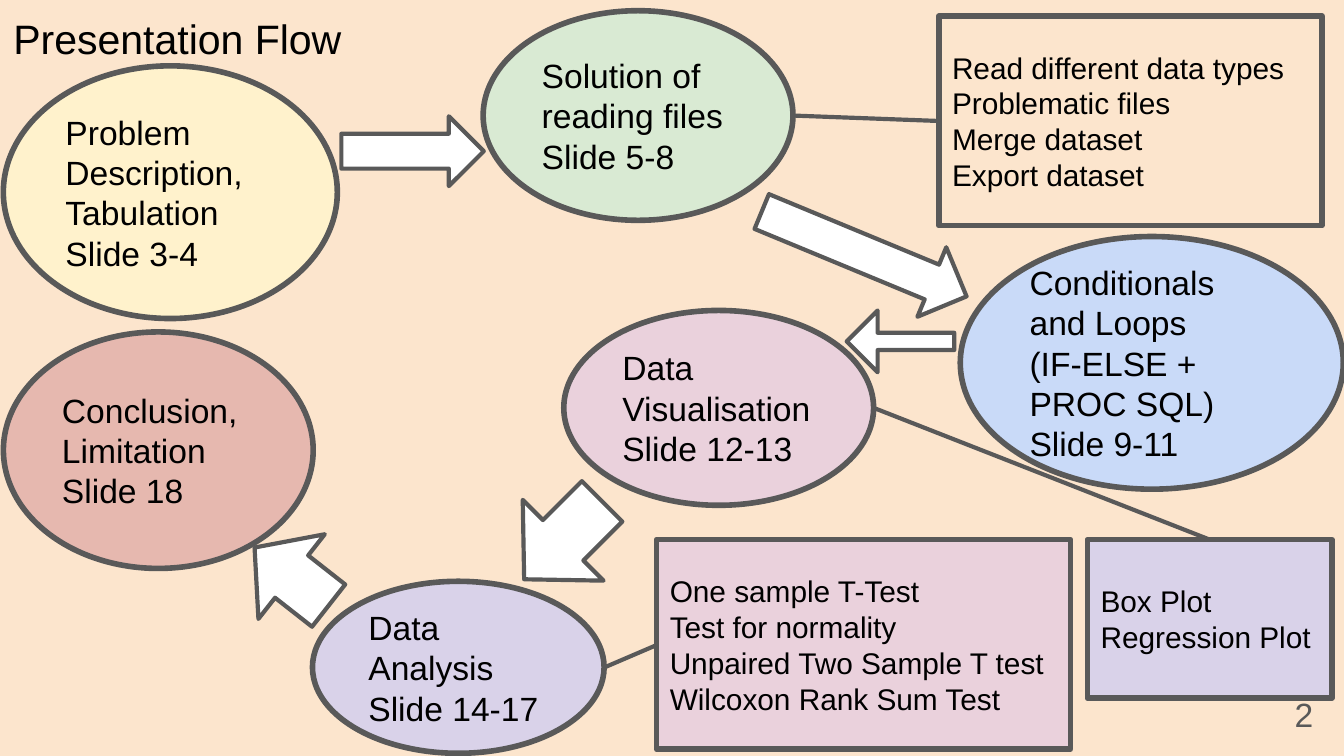
"""Build the Presentation Flow slide."""
from dataclasses import dataclass

from lxml import etree
from pptx import Presentation
from pptx.dml.color import RGBColor
from pptx.enum.shapes import MSO_CONNECTOR, MSO_SHAPE
from pptx.enum.text import MSO_ANCHOR, MSO_AUTO_SIZE, PP_ALIGN
from pptx.oxml.ns import qn
from pptx.util import Pt

PX = 4572
OVAL, RECT, ARROW = MSO_SHAPE.OVAL, MSO_SHAPE.RECTANGLE, MSO_SHAPE.RIGHT_ARROW
LINE = MSO_CONNECTOR.STRAIGHT
TOP, MIDDLE = MSO_ANCHOR.TOP, MSO_ANCHOR.MIDDLE
FIXED = MSO_AUTO_SIZE.NONE
LEFT, RIGHT = PP_ALIGN.LEFT, PP_ALIGN.RIGHT


@dataclass(frozen=True)
class Theme:
    font: str = "Arial"
    ink: str = "000000"
    edge: str = "595959"
    page: str = "FCE5CD"
    white: str = "FFFFFF"
    cream: str = "FFF2CC"
    green: str = "D9EAD3"
    pink: str = "EAD1DC"
    lilac: str = "D9D2E9"
    red: str = "E6B8AF"
    blue: str = "C9DAF8"
    head: int = 22
    step: int = 18
    note: int = 16
    thick: float = 3
    thin: float = 2.25


theme = Theme()


def write(shape, text, size=theme.step, color=theme.ink, align=LEFT, anchor=MIDDLE):
    """Fill a shape with one paragraph per line of text."""
    frame = shape.text_frame
    frame.text = text
    frame.word_wrap = True
    frame.auto_size = FIXED
    frame.vertical_anchor = anchor
    frame.margin_left = frame.margin_right = 20 * PX
    frame.margin_top = frame.margin_bottom = 20 * PX
    for para in frame.paragraphs:
        para.alignment = align
        para.line_spacing = 1.0
        font = para.font
        font.name, font.size = theme.font, Pt(size)
        font.color.rgb = RGBColor.from_string(color)


def draw(kind, box, fill, width):
    """Add a filled and outlined shape."""
    shape = slide.shapes.add_shape(kind, *[n * PX for n in box])
    shape.shadow.inherit = False
    shape.fill.solid()
    shape.fill.fore_color.rgb = RGBColor.from_string(fill)
    shape.line.color.rgb = RGBColor.from_string(theme.edge)
    shape.line.width = Pt(width)
    return shape


deck = Presentation()
deck.slide_width, deck.slide_height = 2000 * PX, 1125 * PX
slide = deck.slides.add_slide(deck.slide_layouts[5])
slide.background.fill.solid()
slide.background.fill.fore_color.rgb = RGBColor.from_string(theme.page)

title = slide.shapes.title
title.left, title.top, title.width, title.height = 0, 0, 1864 * PX, 126 * PX
write(title, "Presentation Flow", size=theme.head, anchor=TOP)

steps = [
    ((5, 98, 497, 376), theme.cream, "Problem Description, Tabulation\nSlide 3-4"),
    ((719, 16, 461, 312), theme.green, "Solution of reading files\nSlide 5-8"),
    ((839, 462, 461, 290), theme.pink, "Data Visualisation\nSlide 12-13"),
    ((465, 865, 434, 256), theme.lilac, "Data Analysis\nSlide 14-17"),
    ((5, 494, 461, 352), theme.red, "Conclusion, Limitation\nSlide 18"),
    ((1429, 352, 570, 376), theme.blue,
     "Conditionals and Loops\n(IF-ELSE + PROC SQL)\nSlide 9-11"),
]
notes = [
    ((1397, 24, 570, 312), theme.page,
     "Read different data types\nProblematic files\nMerge dataset\nExport dataset"),
    ((1618, 803, 364, 236), theme.lilac, "Box Plot\nRegression Plot"),
    ((977, 803, 616, 312), theme.pink,
     "One sample T-Test\nTest for normality\n"
     "Unpaired Two Sample T test\nWilcoxon Rank Sum Test"),
]
for kind, size, items in ((OVAL, theme.step, steps), (RECT, theme.note, notes)):
    for box, fill, text in items:
        write(draw(kind, box, fill, theme.thick), text, size=size)

arrows = [
    ((508, 173, 212, 104), 0, 0.5),
    ((1260, 462, 160, 92), 180, 0.28),
    ((756, 719, 164, 170), 135, 0.5),
    ((364, 778, 140, 160), 218.1, 0.5),
    ((1121, 322, 330, 112), 22.5, 0.5),
]
for box, turn, shaft in arrows:
    arrow = draw(ARROW, box, theme.white, theme.thin)
    arrow.rotation = turn
    arrow.adjustments[0] = shaft

links = [(1180, 172, 1396, 180), (1300, 607, 1800, 803), (900, 993, 977, 960)]
for ends in links:
    link = slide.shapes.add_connector(LINE, *[n * PX for n in ends])
    link.line.color.rgb = RGBColor.from_string(theme.edge)
    link.line.width = Pt(theme.thin)
    etree.SubElement(link._element.spPr, qn("a:effectLst"))

number = slide.shapes.add_textbox(*[n * PX for n in (1854, 1020, 120, 86)])
write(number, "2", color=theme.edge, align=RIGHT)

deck.save("out.pptx")
